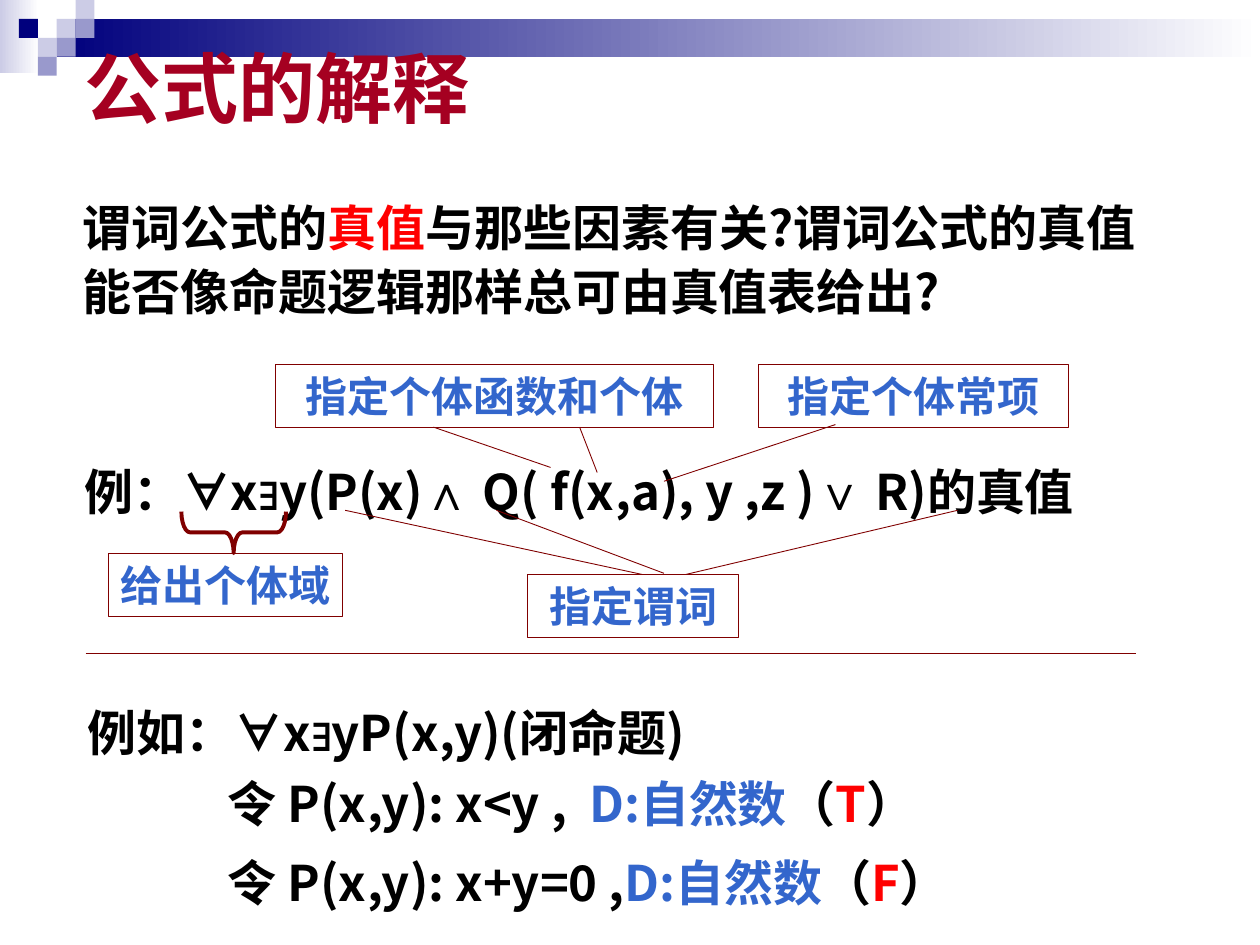
"""Build the slide on interpreting predicate formulas."""
from lxml.etree import SubElement
from pptx import Presentation
from pptx.dml.color import RGBColor as RGB
from pptx.enum.shapes import MSO_CONNECTOR as LINK, MSO_SHAPE as SHAPE
from pptx.enum.text import MSO_ANCHOR as ANCHOR, MSO_AUTO_SIZE as FIT, PP_ALIGN as ALIGN
from pptx.oxml.ns import qn
from pptx.util import Inches, Pt

COLORS = {"navy": "00007D", "lilac": "9999CC", "pale": "CCCCE6", "white": "FFFFFF",
          "maroon": "800000", "crimson": "A50021", "blue": "3366CC", "red": "FF0000",
          "black": "000000"}
SANS, SYMBOL = "Noto Sans CJK SC", "Arial"

deck = Presentation()
deck.slide_width, deck.slide_height = Inches(10), Inches(7.5)
COL, ROW = deck.slide_width / 100, deck.slide_height / 75
slide = deck.slides.add_slide(deck.slide_layouts[5])


def grid(*places):
    return [round(place * unit) for place, unit in zip(places, (COL, ROW) * 2)]


def write(frame, runs, size, spacing=1.0, align=ALIGN.LEFT, anchor=ANCHOR.TOP, wrap=True):
    frame.word_wrap, frame.auto_size, frame.vertical_anchor = wrap, FIT.NONE, anchor
    frame.margin_left = frame.margin_right = Inches(0.1)
    frame.margin_top = frame.margin_bottom = Inches(0.05)
    paragraph = frame.paragraphs[0]
    paragraph.alignment, paragraph.line_spacing = align, spacing
    for words, color in runs:
        run = paragraph.add_run()
        run.text = words
        font = run.font
        font.name = SYMBOL if words in "∀∃∧∨" else SANS
        font.size, font.bold = Pt(size), True
        font.color.rgb = RGB.from_string(COLORS[color])
        SubElement(run.font._element, qn("a:ea")).set("typeface", font.name)


for place, start in [((0, 0, 3.1, 5.8), "pale"), ((4.5, 1.5, 95.5, 3), "navy")]:
    band = slide.shapes.add_shape(SHAPE.RECTANGLE, *grid(*place))
    band.shadow.inherit = False
    band.line.fill.background()
    band.fill.gradient()
    band.fill.gradient_angle = 0
    for stop, color in zip(band.fill.gradient_stops, (start, "white")):
        stop.color.rgb = RGB.from_string(COLORS[color])

for column, row, color in [(3, 1, "pale"), (4, 0, "pale"), (4, 1, "lilac"), (2, 2, "pale"),
                           (1, 1, "navy"), (3, 2, "lilac"), (2, 3, "lilac")]:
    tile = slide.shapes.add_shape(SHAPE.RECTANGLE, *grid(column * 1.5, row * 1.5, 1.5, 1.5))
    tile.shadow.inherit = False
    tile.line.fill.background()
    tile.fill.solid()
    tile.fill.fore_color.rgb = RGB.from_string(COLORS[color])

title = slide.shapes.title
title.left, title.top, title.width, title.height = grid(5.7, 2.7, 33.9, 8.4)
write(title.text_frame, [("公式的解释", "crimson")], 44, wrap=False)
title.element.getparent().append(title.element)

formula = ["例：", "∀", "x", "∃", "y(P(x)", "∧", " Q( f(x,a), y ,z )", "∨", " R)的真值"]
closed_formula = ["例如：", "∀", "x", "∃", "yP(x,y)(闭命题)"]
question = [("谓词公式的", "black"), ("真值", "red"),
            ("与那些因素有关?谓词公式的真值能否像命题逻辑那样总可由真值表给出?", "black")]
passages = [
    ((5.6, 14.7, 87.5, 11.3), question, 1.1, ANCHOR.TOP),
    ((5.7, 34.9, 86.4, 6.9), [(part, "black") for part in formula], 1.25, ANCHOR.MIDDLE),
    ((6, 54.1, 70, 6.9), [(part, "black") for part in closed_formula], 1.25, ANCHOR.TOP),
]
for row, assignment, value in [(59.7, "令 P(x,y): x<y ,  ", "T"), (66, "令 P(x,y): x+y=0 ,", "F")]:
    runs = [(assignment, "black"), ("D:自然数", "blue"), ("（", "black"), (value, "red"),
            ("）", "black")]
    passages.append(((17.1, row, 65, 6.9), runs, 1.25, ANCHOR.TOP))
for place, runs, spacing, anchor in passages:
    passage = slide.shapes.add_textbox(*grid(*place))
    write(passage.text_frame, runs, 28, spacing, anchor=anchor)

for label, left, top, width in [("给出个体域", 8.6, 43.9, 18.6), ("指定谓词", 41.9, 45.6, 16.7),
                                ("指定个体函数和个体", 21.9, 28.9, 34.7),
                                ("指定个体常项", 60.2, 28.9, 24.6)]:
    callout = slide.shapes.add_shape(SHAPE.RECTANGLE, *grid(left, top, width, 5))
    callout.shadow.inherit = False
    callout.fill.background()
    callout.line.color.rgb = RGB.from_string(COLORS["maroon"])
    callout.line.width = Pt(0.5)
    write(callout.text_frame, [(label, "blue")], 24, align=ALIGN.CENTER, anchor=ANCHOR.MIDDLE,
          wrap=False)

quantifier_brace = slide.shapes.add_shape(SHAPE.LEFT_BRACE, *grid(16.9, 38.1, 3.3, 8.3))
quantifier_brace.rotation = 270
quantifier_brace.adjustments[0] = 0.21
quantifier_brace.shadow.inherit = False
quantifier_brace.fill.background()
quantifier_brace.line.color.rgb = RGB.from_string(COLORS["maroon"])
quantifier_brace.line.width = Pt(2.25)

for ends in [(76, 40.5, 54.4, 45.6), (27.4, 40.5, 51, 45.6), (39.4, 40.5, 52.7, 45.5),
             (34.4, 33.9, 43.7, 37.1), (46, 33.9, 47.4, 37.5), (66.3, 33.7, 52.7, 38.2),
             (6.8, 51.9, 90.2, 51.9)]:
    pointer = slide.shapes.add_connector(LINK.STRAIGHT, *grid(*ends))
    pointer.line.color.rgb = RGB.from_string(COLORS["maroon"])
    pointer.line.width = Pt(0.5)
    SubElement(pointer.element.spPr, qn("a:effectLst"))

deck.save("out.pptx")
